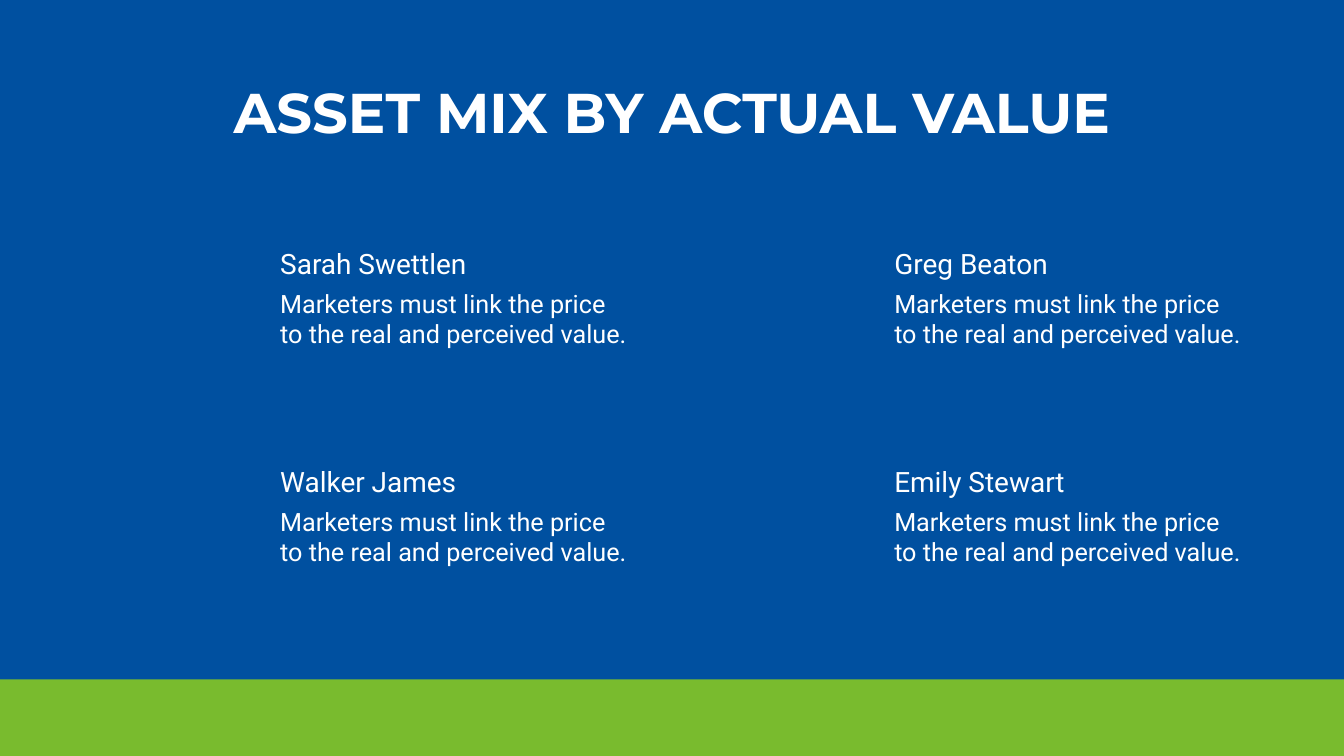
import pptx
import pptx.dml.color
import pptx.enum.shapes
import pptx.enum.text
import pptx.util

COLORS = {"blue": "0050A0", "green": "79BB2E", "white": "FFFFFF"}
Inches, Pt = pptx.util.Inches, pptx.util.Pt

prs = pptx.Presentation()
prs.slide_width, prs.slide_height = Inches(26.66), Inches(15)
W, H = 26.66, 15
s = prs.slides.add_slide(prs.slide_layouts[6])


def add_band(top, height, color):
    sp = s.shapes.add_shape(pptx.enum.shapes.MSO_SHAPE.RECTANGLE,
                            0, Inches(top), prs.slide_width, Inches(height))
    sp.shadow.inherit = False
    sp.fill.solid()
    sp.fill.fore_color.rgb = pptx.dml.color.RGBColor.from_string(COLORS[color])
    sp.line.fill.background()


def add_text(shapes, text, left, top, width, height, font, size):
    sp = shapes.add_textbox(Inches(left), Inches(top), Inches(width), Inches(height))
    tf = sp.text_frame
    tf.word_wrap = True
    tf.auto_size = pptx.enum.text.MSO_AUTO_SIZE.SHAPE_TO_FIT_TEXT
    tf.text = text
    p = tf.paragraphs[0]
    r = p.runs[0]
    r.font.name, r.font.size = font, Pt(size)
    r.font.color.rgb = pptx.dml.color.RGBColor.from_string(COLORS["white"])
    return p


# Blue background area
add_band(0, 13.52, "blue")

# Title, centred on the slide
title_width = 21.74
title = add_text(s.shapes, "ASSET MIX BY ACTUAL VALUE", (W - title_width) / 2, 1.48,
                 title_width, 1.45, "Montserrat", 80)
title.alignment = pptx.enum.text.PP_ALIGN.CENTER
title.runs[0].font.bold = True

# Two by two grid of people, filled column by column
GRID_LEFT, GRID_TOP = 5.46, 4.84
COLUMN, ROW = 12.18, 4.32
people = ["Sarah Swettlen", "Walker James", "Greg Beaton", "Emily Stewart"]
for i, name in enumerate(people):
    column, row = divmod(i, 2)
    left, top = GRID_LEFT + column * COLUMN, GRID_TOP + row * ROW
    person = s.shapes.add_group_shape()
    p = add_text(person.shapes, "Marketers must link the price to the real and perceived value.",
                 left, top + 0.84, 7.15, 1.31, "Roboto", 36)
    p.line_spacing = Pt(43)
    add_text(person.shapes, name, left, top, 5.41, 0.77, "Roboto", 40)

# Green footer band
footer_height = 1.52
add_band(H - footer_height, footer_height, "green")

prs.save("out.pptx")
